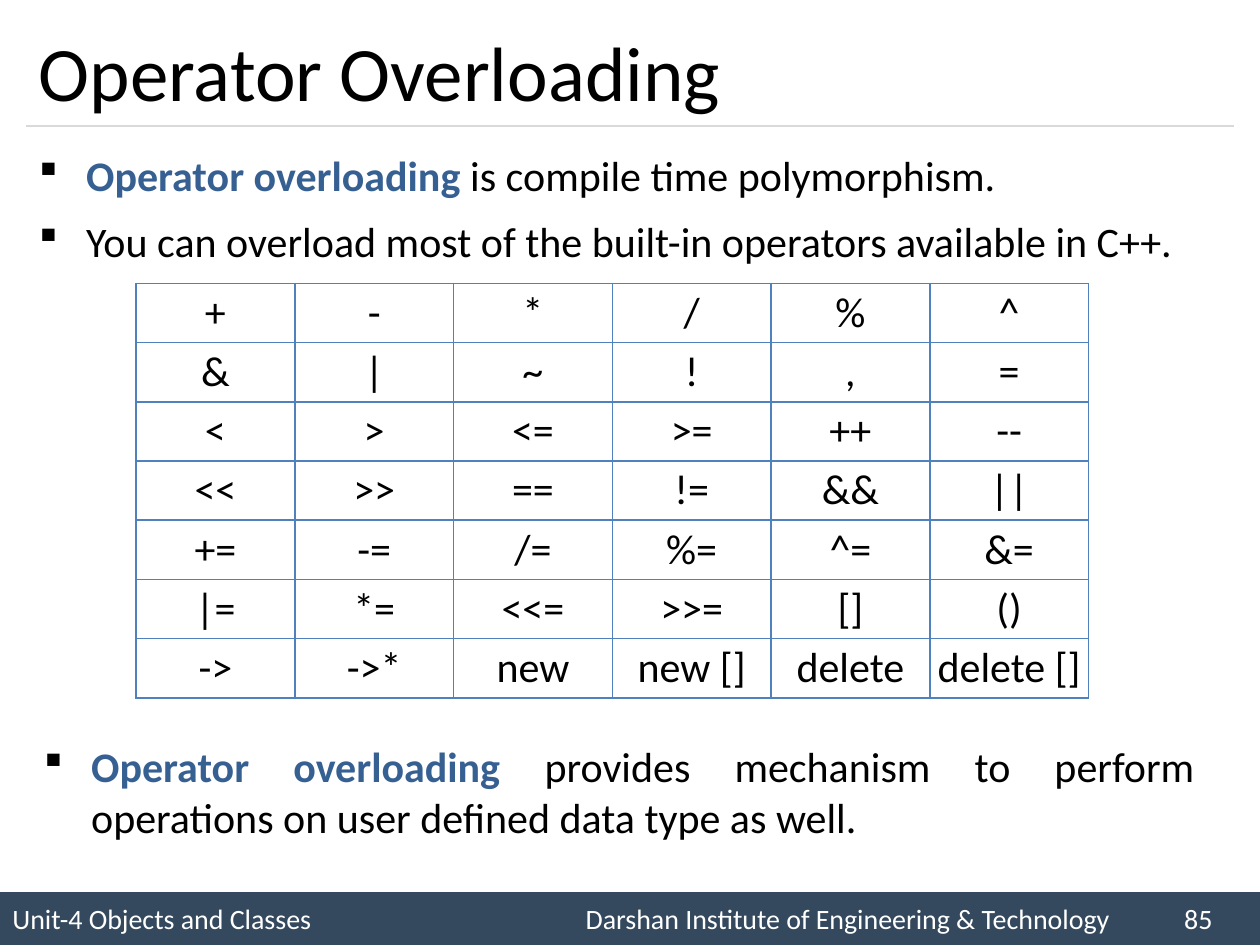
import dataclasses
import typing

import lxml.etree
import pptx
import pptx.dml.color
import pptx.enum.shapes
import pptx.enum.text
import pptx.oxml.ns
import pptx.util

WIDE, HIGH = pptx.util.Inches(10), pptx.util.Inches(7.5)
COLS, ROWS = 100, 75
FONT = "Calibri"
HUES = {"ink": "000000", "key": "376092", "bar": "34495E",
        "rule": "D9D9D9", "grid": "4F81BD", "pale": "FFFFFF"}
ALIGN = pptx.enum.text.PP_ALIGN
MID = pptx.enum.text.MSO_ANCHOR.MIDDLE
SIGNS = [
    ["+", "-", "*", "/", "%", "^"],
    ["&", "|", "~", "!", ",", "="],
    ["<", ">", "<=", ">=", "++", "--"],
    ["<<", ">>", "==", "!=", "&&", "||"],
    ["+=", "-=", "/=", "%=", "^=", "&="],
    ["|=", "*=", "<<=", ">>=", "[]", "()"],
    ["->", "->*", "new", "new []", "delete", "delete []"],
]


@dataclasses.dataclass
class Area:
    col: float
    row: float
    wide: float
    high: float

    def place(self) -> tuple:
        return (across(self.col), down(self.row),
                across(self.wide), down(self.high))


@dataclasses.dataclass
class Point:
    lead: str
    rest: str


@dataclasses.dataclass
class Group:
    area: Area
    points: list[Point]
    pitch: float
    gap: float


GROUPS = [
    Group(Area(2.1, 10.8, 95.8, 11), [
        Point("Operator overloading ", "is compile time polymorphism."),
        Point("", "You can overload most of the built-in operators available in C++."),
    ], 1.14, 4.8),
    Group(Area(2.5, 58.3, 93.3, 9.1), [
        Point("Operator overloading ",
              "provides mechanism to perform operations on user defined data type as well."),
    ], 1, 0),
]


def across(cols: float) -> int:
    return round(WIDE * cols / COLS)


def down(rows: float) -> int:
    return round(HIGH * rows / ROWS)


def tint(name: str) -> pptx.dml.color.RGBColor:
    return pptx.dml.color.RGBColor.from_string(HUES[name])


def add(node: typing.Any, tag: str, **attrs: str) -> typing.Any:
    return lxml.etree.SubElement(node, pptx.oxml.ns.qn(tag), **attrs)


def write(para: typing.Any, text: str, *, size: float = 24, hue: str = "ink",
          bold: bool = False, align: typing.Any = None) -> None:
    if align is not None:
        para.alignment = align
    run = para.add_run()
    run.text = text
    font = run.font
    font.name, font.size, font.bold = FONT, pptx.util.Pt(size), bold
    font.color.rgb = tint(hue)


def frame(slide: typing.Any, area: Area) -> typing.Any:
    text = slide.shapes.add_textbox(*area.place()).text_frame
    text.word_wrap = True
    return text


def bullet(para: typing.Any) -> None:
    props = para._p.get_or_add_pPr()
    props.set("marL", str(across(3.75)))
    props.set("indent", str(-across(3.75)))
    add(add(props, "a:buClr"), "a:srgbClr", val=HUES["ink"])
    add(props, "a:buFont", typeface="Wingdings")
    add(props, "a:buChar", char="§")


def draw_group(slide: typing.Any, group: Group) -> None:
    text = frame(slide, group.area)
    for index, point in enumerate(group.points):
        para = text.add_paragraph() if index else text.paragraphs[0]
        bullet(para)
        para.line_spacing = group.pitch
        para.space_before = pptx.util.Pt(group.gap if index else 0)
        if point.lead:
            write(para, point.lead, hue="key", bold=True)
        write(para, point.rest, align=ALIGN.JUSTIFY)


def draw_foot(slide: typing.Any) -> None:
    bar = slide.shapes.add_shape(pptx.enum.shapes.MSO_SHAPE.RECTANGLE,
                                 *Area(0, 70.8, COLS, 4.2).place())
    bar.shadow.inherit = False
    bar.fill.solid()
    bar.fill.fore_color.rgb = tint("bar")
    bar.line.fill.background()
    bar.text_frame.vertical_anchor = MID
    para = bar.text_frame.paragraphs[0]
    tabs = add(para._p.get_or_add_pPr(), "a:tabLst")
    for stop in (45.5, 93):
        add(tabs, "a:tab", pos=str(across(stop)), algn="l")
    write(para, "Unit-4 Objects and Classes\tDarshan Institute of Engineering & Technology\t85",
          size=16, hue="pale", align=ALIGN.LEFT)


def draw_rule(slide: typing.Any) -> None:
    rule = slide.shapes.add_connector(
        pptx.enum.shapes.MSO_CONNECTOR.STRAIGHT,
        across(2.1), down(10), across(97.9), down(10))
    rule.line.color.rgb = tint("rule")
    rule.line.width = pptx.util.Pt(0.75)
    add(rule._element.spPr, "a:effectLst")


def edge(cell: typing.Any) -> None:
    props = cell._tc.get_or_add_tcPr()
    for side in ("a:lnL", "a:lnR", "a:lnT", "a:lnB"):
        line = add(props, side, w=str(pptx.util.Pt(1)))
        add(add(line, "a:solidFill"), "a:srgbClr", val=HUES["grid"])


def draw_table(slide: typing.Any) -> None:
    wide, high = 12.6, 4.7
    count, span = len(SIGNS), len(SIGNS[0])
    area = Area(10.8, 22.5, wide * span, high * count)
    table = slide.shapes.add_table(count, span, *area.place()).table
    table.first_row = table.horz_banding = False
    for col in table.columns:
        col.width = across(wide)
    for row, signs in zip(table.rows, SIGNS):
        row.height = down(high)
        for cell, sign in zip(row.cells, signs):
            cell.margin_left = cell.margin_right = across(0.3)
            cell.margin_top = cell.margin_bottom = down(0.3)
            cell.vertical_anchor = MID
            edge(cell)
            cell.fill.background()
            write(cell.text_frame.paragraphs[0], sign, align=ALIGN.CENTER)


def main() -> None:
    deck = pptx.Presentation()
    deck.slide_width, deck.slide_height = WIDE, HIGH
    slide = deck.slides.add_slide(deck.slide_layouts[6])
    draw_foot(slide)
    draw_rule(slide)
    title = frame(slide, Area(2.1, 1.2, 95.8, 8.8))
    title.vertical_anchor = MID
    write(title.paragraphs[0], "Operator Overloading", size=44)
    draw_table(slide)
    for group in GROUPS:
        draw_group(slide, group)
    deck.save("out.pptx")


if __name__ == "__main__":
    main()
